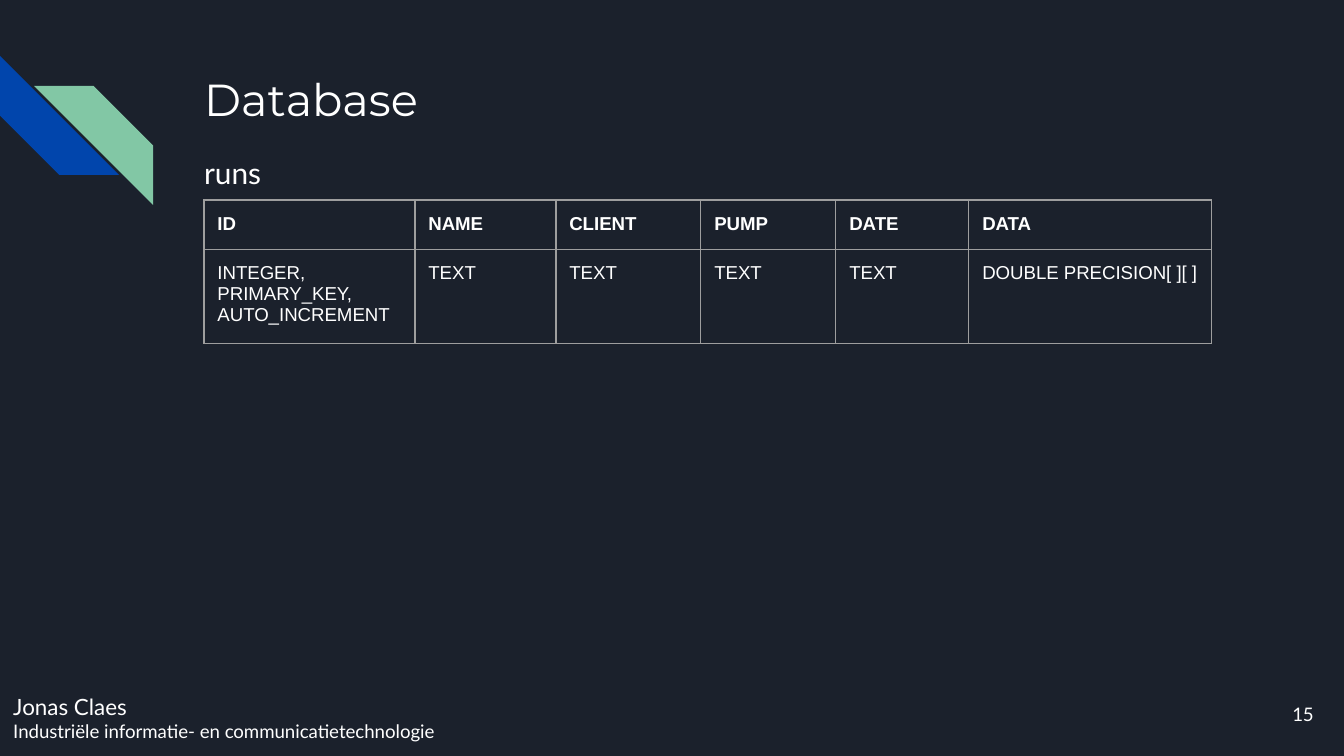
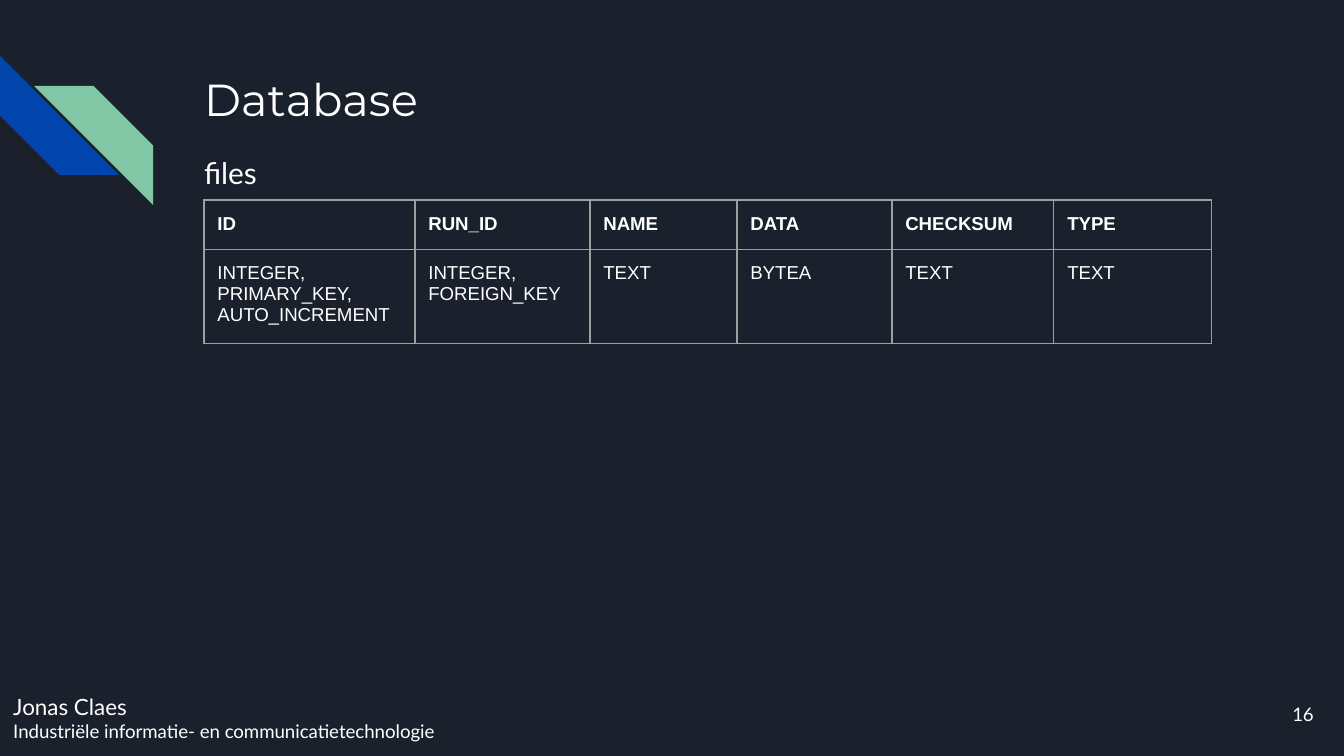
from lxml.etree import SubElement
from pptx import Presentation
from pptx.dml.color import RGBColor
from pptx.enum.shapes import MSO_SHAPE as Shape
from pptx.enum.text import MSO_ANCHOR as Anchor, PP_ALIGN as Align
from pptx.oxml.ns import qn
from pptx.util import Emu, Pt

BACKGROUND, BLUE, GREEN = "1B212C", "0145AC", "82C7A5"
WHITE, GRID = "FFFFFF", "9E9E9E"
HEADING_FONT, BODY_FONT, TABLE_FONT = "Montserrat", "Lato", "Arial"

PRIMARY_KEY = ["INTEGER,", "PRIMARY_KEY,", "AUTO_INCREMENT"]
FOREIGN_KEY = ["INTEGER,", "FOREIGN_KEY"]
FOOTER = [("Jonas Claes", 12),
          ("Industriële informatie- en communicatietechnologie", 10)]
FIRST_PAGE = 15
TITLE = "Database"
SCHEMAS = [
    ("runs", [
        ("ID", PRIMARY_KEY, 211),
        ("NAME", ["TEXT"], 141),
        ("CLIENT", ["TEXT"], 145),
        ("PUMP", ["TEXT"], 135),
        ("DATE", ["TEXT"], 133),
        ("DATA", ["DOUBLE PRECISION[ ][ ]"], 243),
    ]),
    ("files", [
        ("ID", PRIMARY_KEY, 211),
        ("RUN_ID", FOREIGN_KEY, 175),
        ("NAME", ["TEXT"], 147),
        ("DATA", ["BYTEA"], 155),
        ("CHECKSUM", ["TEXT"], 162),
        ("TYPE", ["TEXT"], 158),
    ]),
]

STRIPES = [(0, 56, 270, BLUE), (34, 86, 90, GREEN)]
STRIPE_SIZE = 119
TITLE_BOX = (191, 58, 1035, 78)
SUBTITLE_BOX = (191, 136, 1035, 64)
FOOTER_BOX = (0, 680, 835, 76)
PAGE_BOX = (1246, 685, 81, 58)
TABLE_LEFT, TABLE_TOP = 204, 200
ROW_HEIGHTS = (48, 89)
INSET = 13.44


def px(length):
    return Emu(round(length * 914400 / 134.4))


def color(value):
    return RGBColor.from_string(value)


def set_insets(target):
    target.margin_left = target.margin_right = px(INSET)
    target.margin_top = target.margin_bottom = px(INSET)


def write(frame, lines, font, bold=False, align=Align.LEFT, spacing=None):
    for index, (words, size) in enumerate(lines):
        paragraph = frame.add_paragraph() if index else frame.paragraphs[0]
        paragraph.alignment = align
        if spacing:
            paragraph.line_spacing = spacing
        run = paragraph.add_run()
        run.text = words
        run.font.name, run.font.size, run.font.bold = font, Pt(size), bold
        run.font.color.rgb = color(WHITE)


def add_text(slide, box, lines, font, anchor=Anchor.TOP, **style):
    frame = slide.shapes.add_textbox(*map(px, box)).text_frame
    frame.word_wrap = True
    frame.vertical_anchor = anchor
    set_insets(frame)
    write(frame, lines, font, **style)


def add_stripe(slide, left, top, rotation, fill):
    stripe = slide.shapes.add_shape(
        Shape.DIAGONAL_STRIPE, *map(px, (left, top, STRIPE_SIZE, STRIPE_SIZE)))
    stripe.adjustments[0] = 0.5
    stripe.rotation = rotation
    stripe.shadow.inherit = False
    stripe.fill.solid()
    stripe.fill.fore_color.rgb = color(fill)
    stripe.line.fill.background()


def add_borders(cell):
    properties = cell._tc.get_or_add_tcPr()
    for side in ("a:lnL", "a:lnR", "a:lnT", "a:lnB"):
        line = SubElement(properties, qn(side), w=str(Pt(0.75)))
        fill = SubElement(line, qn("a:solidFill"))
        SubElement(fill, qn("a:srgbClr"), val=GRID)


def add_schema(slide, columns):
    width = sum(column[2] for column in columns)
    table = slide.shapes.add_table(
        len(ROW_HEIGHTS), len(columns),
        *map(px, (TABLE_LEFT, TABLE_TOP, width, sum(ROW_HEIGHTS)))).table
    table.first_row = table.horz_banding = False
    for row, height in zip(table.rows, ROW_HEIGHTS):
        row.height = px(height)
    for c, (field, kind, column_width) in enumerate(columns):
        table.columns[c].width = px(column_width)
        for r, lines in enumerate(([field], kind)):
            cell = table.cell(r, c)
            set_insets(cell)
            add_borders(cell)
            cell.fill.background()
            write(cell.text_frame, [(line, 10) for line in lines],
                  TABLE_FONT, bold=r == 0)


deck = Presentation()
deck.slide_width, deck.slide_height = px(1344), px(756)

for page, (name, columns) in enumerate(SCHEMAS, FIRST_PAGE):
    slide = deck.slides.add_slide(deck.slide_layouts[6])
    slide.background.fill.solid()
    slide.background.fill.fore_color.rgb = color(BACKGROUND)
    for stripe in STRIPES:
        add_stripe(slide, *stripe)
    add_text(slide, FOOTER_BOX, FOOTER, BODY_FONT, Anchor.BOTTOM)
    add_text(slide, TITLE_BOX, [(TITLE, 24)], HEADING_FONT)
    add_text(slide, SUBTITLE_BOX, [(name, 16)], BODY_FONT, spacing=1.15)
    add_schema(slide, columns)
    add_text(slide, PAGE_BOX, [(str(page), 10)], BODY_FONT, Anchor.MIDDLE,
             align=Align.RIGHT)

deck.save("out.pptx")
